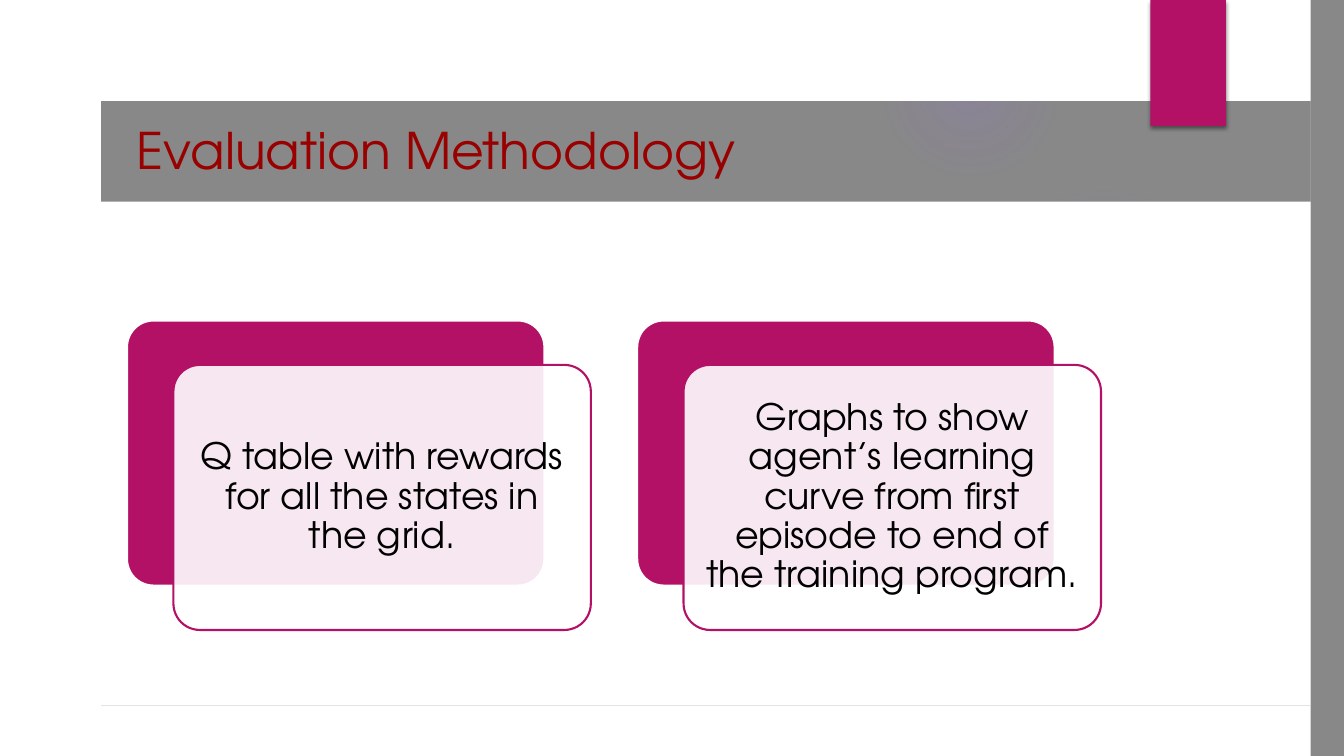
import pptx
import pptx.util
import pptx.dml.color
import pptx.enum.shapes
import pptx.enum.text
import pptx.oxml

Inches = pptx.util.Inches
RGB = pptx.dml.color.RGBColor
SHAPE = pptx.enum.shapes.MSO_SHAPE
ALIGN = pptx.enum.text.PP_ALIGN
ANCHOR = pptx.enum.text.MSO_ANCHOR

GREY = RGB(0x88, 0x88, 0x88)
WHITE = RGB(0xFF, 0xFF, 0xFF)
BLACK = RGB(0, 0, 0)
PINK = RGB(0xB3, 0x11, 0x66)
RED = RGB(0x99, 0, 0)
VIOLET = RGB(0x9B, 0x6B, 0xF2)

FONT = "TeX Gyre Adventor"
NS = 'xmlns:a="http://schemas.openxmlformats.org/drawingml/2006/main"'
WIDE, HIGH = 13.33, 7.5
EDGE = 0.52
STEPS = 40

CARDS = [
    "Q table with rewards for all the states in the grid.",
    "Graphs to show agent’s learning curve from first episode to end of the training program.",
]


def tint(rgb, alpha):
    return f'<a:srgbClr val="{rgb}"><a:alpha val="{alpha * 1000}"/></a:srgbClr>'


def paint(shape, fill, line=None, alpha=100):
    shape.shadow.inherit = False
    shape.fill.solid()
    shape.fill.fore_color.rgb = fill
    if alpha < 100:
        solid = shape.fill._xPr.solidFill
        solid.remove(solid[0])
        solid.append(pptx.oxml.parse_xml(tint(fill, alpha).replace("Clr ", f"Clr {NS} ", 1)))
    if line is None:
        shape.line.fill.background()
    else:
        shape.line.color.rgb = line
        shape.line.width = pptx.util.Pt(1.5)


def block(slide, kind, box, fill, **look):
    shape = slide.shapes.add_shape(kind, *map(Inches, box))
    paint(shape, fill, **look)
    return shape


def outline(slide, loops, fill, **look):
    """Fill one or more closed loops of points, given in inches."""
    first, *rest = loops
    form = slide.shapes.build_freeform(*first[0], scale=Inches(1))
    form.add_line_segments(first[1:])
    for loop in rest:
        form.move_to(*loop[0])
        form.add_line_segments(loop[1:])
    paint(form.convert_to_shape(), fill, **look)


def write(shape, text, size, color, align=ALIGN.LEFT, anchor=ANCHOR.MIDDLE,
          pad=(0.1, 0.05), space=1.0):
    frame = shape.text_frame
    frame.word_wrap = True
    frame.vertical_anchor = anchor
    frame.margin_left = frame.margin_right = Inches(pad[0])
    frame.margin_top = frame.margin_bottom = Inches(pad[1])
    para = frame.paragraphs[0]
    para.alignment = align
    para.line_spacing = space
    run = para.add_run()
    run.text = text
    run.font.name = FONT
    run.font.size = pptx.util.Pt(size)
    run.font.color.rgb = color


def glow(slide, left, top, size, stops):
    """Draw a round glow from (position, opacity) stops."""
    shape = block(slide, SHAPE.OVAL, (left, top, size, size), VIOLET)
    marks = "".join(f'<a:gs pos="{pos * 1000}">{tint(VIOLET, alpha)}</a:gs>'
                    for pos, alpha in stops)
    grad = pptx.oxml.parse_xml(
        f'<a:gradFill {NS}><a:gsLst>{marks}</a:gsLst><a:path path="circle">'
        '<a:fillToRect l="50000" t="50000" r="50000" b="50000"/></a:path></a:gradFill>')
    solid = shape.fill._xPr.solidFill
    solid.getparent().replace(solid, grad)


def banner(slide, left, top, width, height):
    """Leave the grey band open above a curved white page."""
    right = left + width
    glow(slide, 9.41, 1.83, 3.08, [(0, 7), (36, 6), (69, 0), (100, 0)])
    glow(slide, 8.75, 0.01, 1.75, [(0, 14), (36, 7), (73, 0), (100, 0)])

    parts = [step / STEPS for step in range(STEPS + 1)]
    sweep = [(right - 3.53 * t, top + 1.14 + 1.17 * t - 0.4 * t * t) for t in parts]
    outline(slide, [sweep + [(right - 3.49, top + 1.98), (right, top + 1.62)]],
            WHITE, alpha=20)

    curve = [(left + width * t, top + 1.96 - 0.44 * (2 * t - 1) ** 2) for t in parts]
    base = top + height
    outline(slide, [curve + [(right, base), (left, base)]], WHITE)

    outer = [(0, 0), (0, HIGH), (WIDE, HIGH), (WIDE, 0), (0, 0)]
    inner = [(right, base), (left, base), (left, top), (right, top), (right, base)]
    outline(slide, [outer, inner], WHITE)


def ribbon(slide, *box):
    shape = block(slide, SHAPE.RECTANGLE, box, PINK)
    effect = shape._element.spPr.find(pptx.oxml.ns.qn("a:effectLst"))
    effect.append(pptx.oxml.parse_xml(
        f'<a:outerShdw {NS} blurRad="38100" dist="25400" dir="5400000" rotWithShape="0">'
        f'{tint(BLACK, 45)}</a:outerShdw>'))


def title(slide, text, *box):
    shape = slide.shapes.add_textbox(*map(Inches, box))
    write(shape, text, 36, RED, anchor=ANCHOR.BOTTOM)


def card(slide, text, left, top, width, height):
    back = block(slide, SHAPE.ROUNDED_RECTANGLE, (left, top, width, height),
                 PINK, line=WHITE)
    front = block(slide, SHAPE.ROUNDED_RECTANGLE,
                  (left + 0.46, top + 0.44, width, height), WHITE, line=PINK, alpha=90)
    for shape in (back, front):
        shape.adjustments[0] = 0.1
    write(front, text, 26, BLACK, align=ALIGN.CENTER, pad=(0.11, 0.11), space=0.9)


def main():
    deck = pptx.Presentation()
    deck.slide_width, deck.slide_height = Inches(WIDE), Inches(HIGH)
    slide = deck.slides.add_slide(deck.slide_layouts[6])
    slide.background.fill.solid()
    slide.background.fill.fore_color.rgb = GREY
    banner(slide, EDGE, EDGE, WIDE - 2 * EDGE, HIGH - 2 * EDGE)
    ribbon(slide, 11.41, 0, 0.75, 1.25)
    title(slide, "Evaluation Methodology", 1.26, 1.06, 9.58, 0.77)
    for col, text in enumerate(CARDS):
        card(slide, text, 1.26 + 5.06 * col, 3.18, 4.14, 2.63)
    deck.save("out.pptx")


if __name__ == "__main__":
    main()
